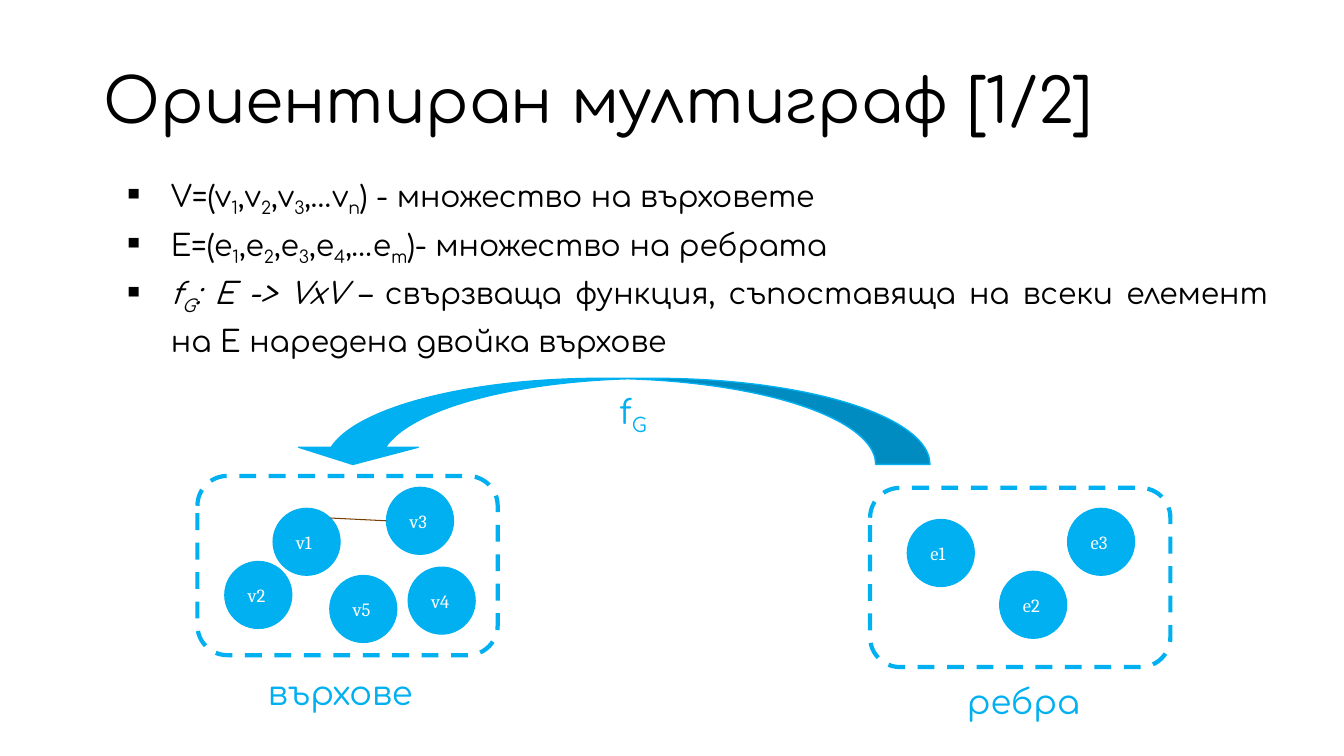
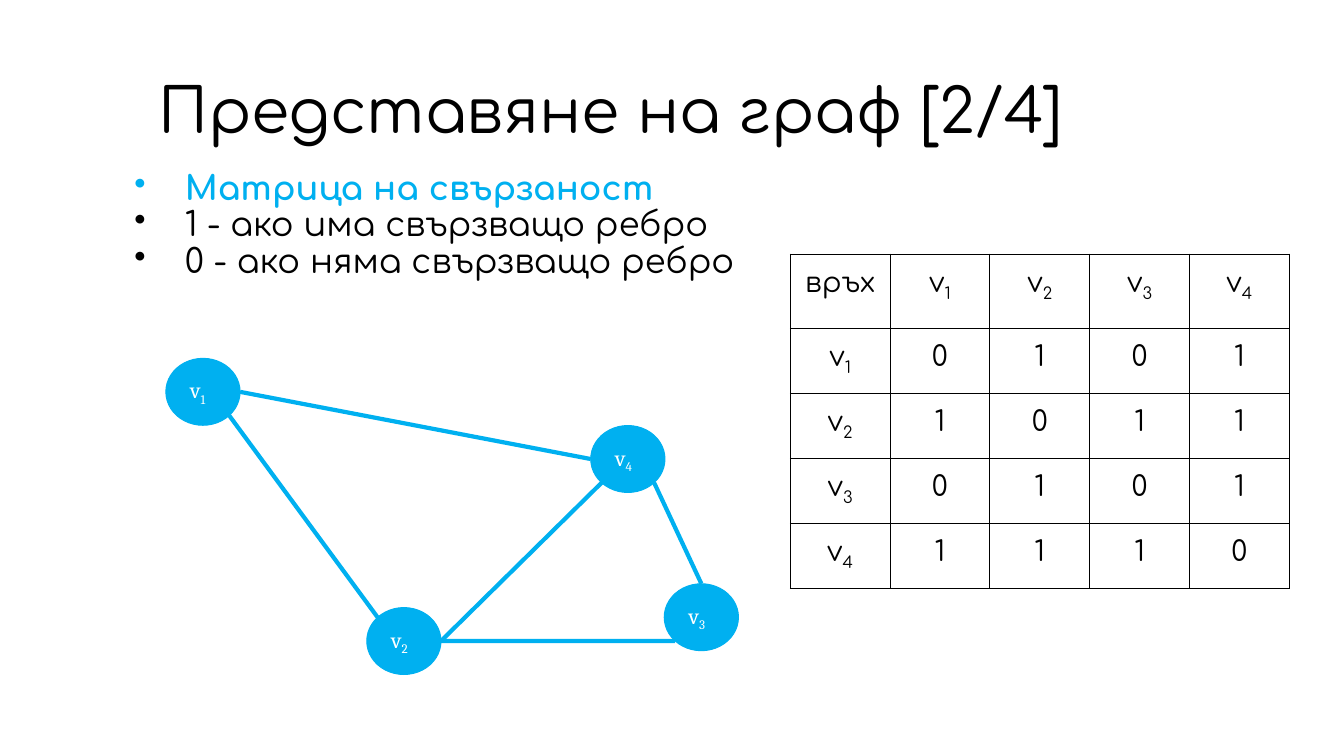
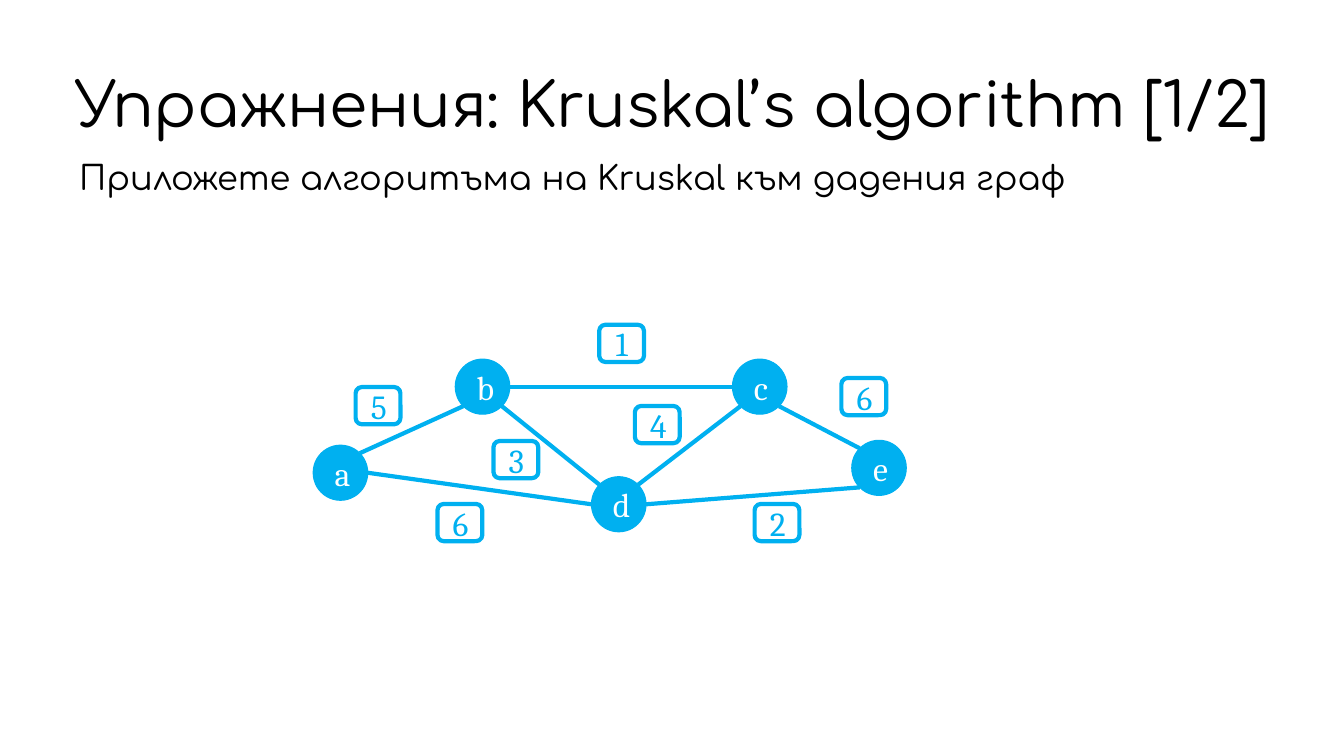
from dataclasses import dataclass
from itertools import product
from math import cos, radians, sin

from lxml.etree import SubElement
from pptx import Presentation
from pptx.dml.color import RGBColor
from pptx.enum.dml import MSO_LINE
from pptx.enum.shapes import MSO_CONNECTOR, MSO_SHAPE
from pptx.enum.text import MSO_ANCHOR, PP_ALIGN
from pptx.oxml.ns import qn
from pptx.util import Pt


@dataclass(frozen=True)
class Theme:
    """Colours, fonts, type sizes and line widths of the deck."""

    accent: RGBColor = RGBColor.from_string("00B0F0")
    ink: RGBColor = RGBColor.from_string("000000")
    paper: RGBColor = RGBColor.from_string("FFFFFF")
    brown: RGBColor = RGBColor.from_string("783F04")
    text_font: str = "Comfortaa"
    node_font: str = "Cambria"
    title_size: float = 44
    label_size: float = 24
    set_text_size: float = 21.3
    cell_size: float = 20
    matrix_node_size: float = 16
    set_node_size: float = 13.3
    thin: float = 0.75
    thick: float = 3


@dataclass(frozen=True)
class TextStyle:
    """Look of the text inside one kind of element."""

    size: float
    color: RGBColor
    font: str = "Comfortaa"
    align: PP_ALIGN = PP_ALIGN.LEFT
    anchor: MSO_ANCHOR = MSO_ANCHOR.TOP
    spacing: float = 1.0
    margins: tuple = (9.6, 9.6)
    bullet: str = ""
    indent: float = 0


THEME = Theme()
PLACEHOLDER_MARGINS = (8.6, 3)
TITLE = TextStyle(THEME.title_size, THEME.ink, anchor=MSO_ANCHOR.MIDDLE,
                  spacing=0.9, margins=PLACEHOLDER_MARGINS)
SET_LIST = TextStyle(THEME.set_text_size, THEME.ink, align=PP_ALIGN.JUSTIFY, spacing=1.2,
                     margins=PLACEHOLDER_MARGINS, bullet="▪", indent=34.5)
RULE_LIST = TextStyle(THEME.label_size, THEME.ink, spacing=0.9,
                      margins=PLACEHOLDER_MARGINS, bullet="•", indent=36)
TASK = TextStyle(THEME.label_size, THEME.ink, spacing=0.9, margins=PLACEHOLDER_MARGINS)
LABEL = TextStyle(THEME.label_size, THEME.accent, align=PP_ALIGN.CENTER)
CELL = TextStyle(THEME.cell_size, THEME.ink, align=PP_ALIGN.CENTER)


def node_style(size, color=THEME.paper, align=PP_ALIGN.LEFT):
    """Return the text style of a node or weight."""
    return TextStyle(size, color, THEME.node_font, align, MSO_ANCHOR.MIDDLE)


def set_values(target, values):
    """Set every attribute named in a dict."""
    for name, value in values.items():
        setattr(target, name, value)


def add_run(paragraph, text, style, changes, subscript=False):
    """Append one formatted run."""
    if not text:
        return
    run = paragraph.add_run()
    run.text = text
    font_values = {"name": style.font, "size": Pt(style.size)}
    color = changes.get("color", style.color)
    font_values.update({name: value for name, value in changes.items() if name != "color"})
    set_values(run.font, font_values)
    run.font.color.rgb = color
    if subscript:
        run.font._element.set("baseline", "-25000")


def add_marked_text(paragraph, text, style, changes):
    """Append text in which an underscore lowers the next letter."""
    plain, *lowered = text.split("_")
    add_run(paragraph, plain, style, changes)
    for part in lowered:
        add_run(paragraph, part[0], style, changes, subscript=True)
        add_run(paragraph, part[1:], style, changes)


def add_bullet(paragraph, style):
    """Give a paragraph its bullet and hanging indent."""
    properties = paragraph._p.get_or_add_pPr()
    properties.set("marL", str(Pt(48)))
    properties.set("indent", str(-Pt(style.indent)))
    SubElement(properties, qn("a:buChar"), char=style.bullet)


def write_text(frame, paragraphs, style):
    """Fill a text frame with paragraphs made of (text, changes) segments."""
    for index, segments in enumerate(paragraphs):
        paragraph = frame.paragraphs[0] if index == 0 else frame.add_paragraph()
        if style.bullet:
            add_bullet(paragraph, style)
        set_values(paragraph, {"alignment": style.align, "line_spacing": style.spacing,
                               "space_before": Pt(0)})
        for text, changes in segments:
            add_marked_text(paragraph, text, style, changes)


def margin_values(style):
    """Return the four inner margins of a style."""
    across, down = map(Pt, style.margins)
    return {"margin_left": across, "margin_right": across,
            "margin_top": down, "margin_bottom": down}


def write_shape(shape, paragraphs, style):
    """Write styled text into a shape."""
    frame = shape.text_frame
    set_values(frame, {"word_wrap": True, "vertical_anchor": style.anchor,
                       **margin_values(style)})
    write_text(frame, paragraphs, style)


def add_text(slide, box, style, *paragraphs):
    """Add a text box."""
    shape = slide.shapes.add_textbox(*map(Pt, box))
    write_shape(shape, [[(item, {})] if isinstance(item, str) else item
                        for item in paragraphs], style)


def add_outline(slide, kind, box, width, fill=None, dash=None):
    """Add a preset shape with an accent line."""
    shape = slide.shapes.add_shape(kind, *map(Pt, box))
    shape.shadow.inherit = False
    if fill is None:
        shape.fill.background()
    else:
        shape.fill.solid()
        shape.fill.fore_color.rgb = fill
    shape.line.color.rgb = THEME.accent
    set_values(shape.line, {"width": Pt(width), "dash_style": dash})
    return shape


def add_nodes(slide, places, size, style):
    """Add labelled circles and return their boxes by name."""
    boxes = {name: (*place, *size) for name, place in places.items()}
    for name, box in boxes.items():
        node = add_outline(slide, MSO_SHAPE.OVAL, box, THEME.thin, THEME.accent)
        write_shape(node, [[(name, {})]], style)
    return boxes


def rim_point(box, degrees):
    """Return the point of an ellipse at an angle clockwise from the right."""
    left, top, width, height = box
    angle = radians(degrees)
    return left + width / 2 * (1 + cos(angle)), top + height / 2 * (1 + sin(angle))


def add_edges(slide, boxes, edges, width=THEME.thick, color=THEME.accent):
    """Join nodes with straight lines between rim angles."""
    for start, start_angle, end, end_angle in edges:
        points = rim_point(boxes[start], start_angle) + rim_point(boxes[end], end_angle)
        line = slide.shapes.add_connector(MSO_CONNECTOR.STRAIGHT, *map(Pt, points))
        line.line.width = Pt(width)
        line.line.color.rgb = color
        SubElement(line._element.spPr, qn("a:effectLst"))


def add_weights(slide, weights, style):
    """Add the boxed edge weights."""
    for text, left, top in weights:
        box = add_outline(slide, MSO_SHAPE.ROUNDED_RECTANGLE, (left, top, 32, 26.6), THEME.thick)
        write_shape(box, [[(text, {})]], style)


def add_borders(cell):
    """Draw thin lines on the four sides of a cell."""
    properties = cell._tc.get_or_add_tcPr()
    for position, side in enumerate(("lnL", "lnR", "lnT", "lnB")):
        line = SubElement(properties, qn(f"a:{side}"), w=str(Pt(THEME.thin)))
        properties.insert(position, line)
        fill = SubElement(line, qn("a:solidFill"))
        SubElement(fill, qn("a:srgbClr"), val=str(THEME.ink))


def add_matrix(slide, left, top, column_width, row_heights, rows):
    """Add the adjacency table."""
    row_count, column_count = len(rows), len(rows[0])
    table = slide.shapes.add_table(row_count, column_count, Pt(left), Pt(top),
                                   Pt(column_width * column_count),
                                   Pt(sum(row_heights))).table
    set_values(table, {"first_row": False, "horz_banding": False})
    for column in table.columns:
        column.width = Pt(column_width)
    for row, height in zip(table.rows, row_heights):
        row.height = Pt(height)
    for row, column in product(range(row_count), range(column_count)):
        cell = table.cell(row, column)
        cell.fill.background()
        set_values(cell, margin_values(CELL))
        write_text(cell.text_frame, [[(rows[row][column], {})]], CELL)
        add_borders(cell)


def add_slide(presentation, title, box):
    """Add a blank slide with a title."""
    slide = presentation.slides.add_slide(presentation.slide_layouts[6])
    add_text(slide, box, TITLE, title)
    return slide


def build_multigraph(presentation):
    """Build the slide on directed multigraphs."""
    slide = add_slide(presentation, "Ориентиран мултиграф [1/2]", (65.5, 44, 849, 60.5))
    add_text(slide, (65.5, 118, 849, 128), SET_LIST,
             "V=(v_1,v_2,v_3,…v_n) - множество на върховете",
             "E=(e_1,e_2,e_3,e_4,…e_m)- множество на ребрата",
             [("f_G: Е -> VxV ", {"italic": True}),
              ("– свързваща функция, съпоставяща на всеки елемент "
               "на Е наредена двойка върхове", {})])
    for left, top in ((141, 340), (621.5, 348.5)):
        add_outline(slide, MSO_SHAPE.ROUNDED_RECTANGLE, (left, top, 214.5, 128),
                    THEME.thick, dash=MSO_LINE.DASH)
    places = {"v5": (235.5, 411), "v4": (291.5, 405), "v3": (276, 348), "v2": (160.5, 401),
              "v1": (195, 363), "e3": (762.5, 363), "e2": (714, 408), "e1": (648, 371)}
    boxes = add_nodes(slide, places, (48, 48), node_style(THEME.set_node_size))
    add_edges(slide, boxes, [("v1", -45, "v3", 180)], THEME.thin, THEME.brown)
    arrow = add_outline(slide, MSO_SHAPE.CURVED_RIGHT_ARROW, (406, 73.5, 61.5, 455),
                        1, THEME.accent)
    arrow.rotation = 90
    for index, value in enumerate((0.63, 1.39, 0.2)):
        arrow.adjustments[index] = value
    add_text(slide, (178, 470, 130, 31), LABEL, "върхове")
    add_text(slide, (675.5, 476.5, 111, 33), LABEL, "ребра")
    add_text(slide, (397.5, 269.5, 109.5, 61), LABEL, "f_G")


def build_adjacency(presentation):
    """Build the slide on the adjacency matrix."""
    slide = add_slide(presentation, "Представяне на граф [2/4]", (104.5, 51, 751.5, 60.5))
    add_text(slide, (75.5, 119.5, 698.5, 358.5), RULE_LIST,
             [("Матрица на свързаност", {"color": THEME.accent, "bold": True})],
             "1 - ако има свързващо ребро",
             "0 - ако няма свързващо ребро")
    names = ["v_1", "v_2", "v_3", "v_4"]
    links = ["0101", "1011", "0101", "1110"]
    rows = [["връх", *names]] + [[name, *row] for name, row in zip(names, links)]
    add_matrix(slide, 564.5, 181.5, 71.3, [52.8] + [43] * 4, rows)
    places = {"v_1": (118.5, 256), "v_2": (262, 434), "v_3": (474.5, 417), "v_4": (422, 304)}
    boxes = add_nodes(slide, places, (53, 47.8), node_style(THEME.matrix_node_size))
    add_edges(slide, boxes, [("v_1", 45, "v_2", 225), ("v_2", 0, "v_3", 135),
                             ("v_3", 270, "v_4", 45), ("v_2", 0, "v_4", 135),
                             ("v_1", 0, "v_4", 180)])


def build_kruskal(presentation):
    """Build the exercise slide on a weighted graph."""
    slide = add_slide(presentation, "Упражнения: Kruskal’s algorithm [1/2]",
                      (45, 46.8, 882, 60.5))
    add_text(slide, (48, 112.5, 833, 87), TASK,
             "Приложете алгоритъма на Kruskal към дадения граф")
    places = {"a": (223.7, 318), "e": (608.4, 314.5), "c": (523.2, 256.5),
              "d": (422.5, 340.5), "b": (325.2, 256.5)}
    boxes = add_nodes(slide, places, (39, 39.4),
                      node_style(THEME.label_size, align=PP_ALIGN.CENTER))
    add_weights(slide, [("5", 254, 276.5), ("6", 312.5, 360), ("3", 352.5, 315),
                        ("6", 601, 270), ("4", 453.5, 290), ("1", 428, 232),
                        ("2", 539, 360)],
                node_style(THEME.label_size, THEME.accent, PP_ALIGN.CENTER))
    add_edges(slide, boxes, [("b", 0, "c", 180), ("c", 45, "e", 225), ("e", 135, "d", 0),
                             ("a", 0, "d", 180), ("b", 135, "a", 315),
                             ("b", 45, "d", 225), ("c", 135, "d", 315)])


def main():
    """Build and save the deck."""
    presentation = Presentation()
    set_values(presentation, {"slide_width": Pt(960), "slide_height": Pt(540)})
    for build in (build_multigraph, build_adjacency, build_kruskal):
        build(presentation)
    presentation.save("out.pptx")


if __name__ == "__main__":
    main()
